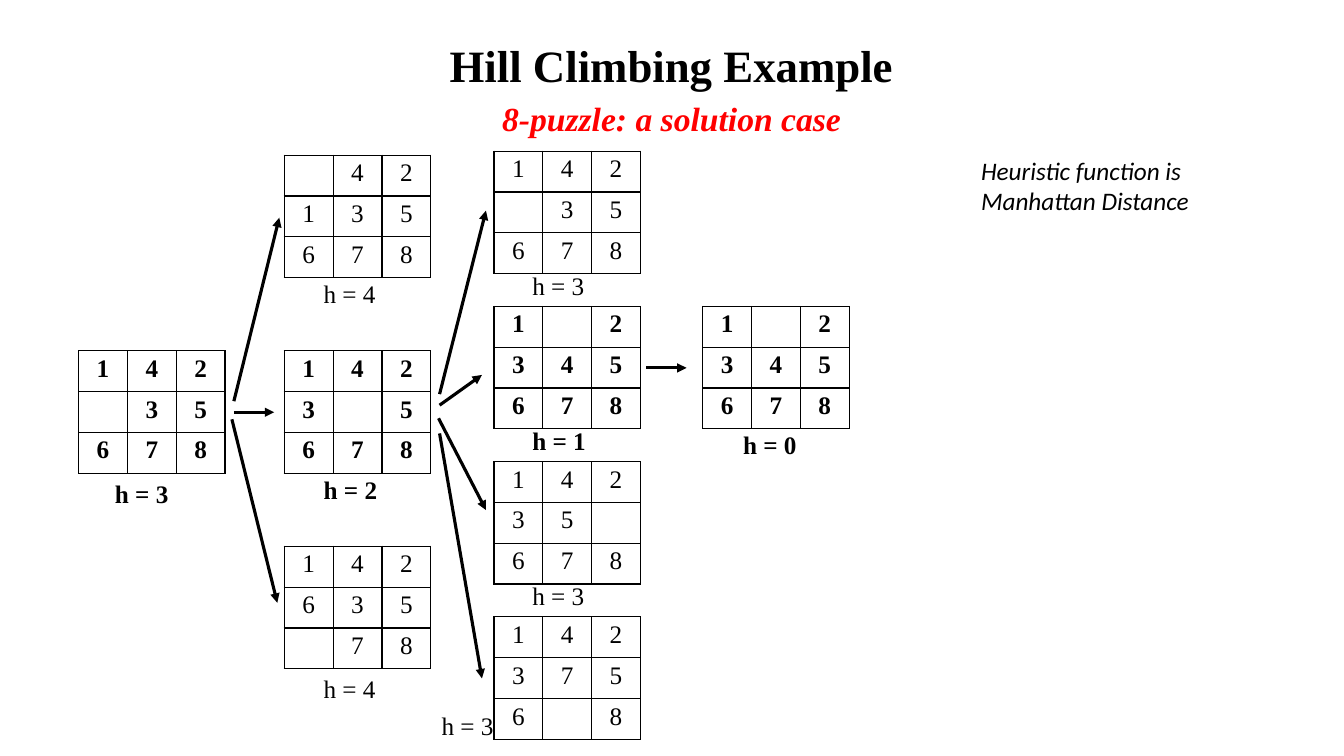
from pptx import Presentation
from pptx.dml.color import RGBColor
from pptx.enum.shapes import MSO_CONNECTOR
from pptx.enum.text import MSO_ANCHOR, PP_ALIGN
from pptx.oxml import parse_xml
from pptx.oxml.ns import nsdecls
from pptx.util import Inches, Pt

BLACK = RGBColor(0, 0, 0)
RED = RGBColor(255, 0, 0)
SERIF, SANS = "Times New Roman", "Calibri"
CENTER, LEFT = PP_ALIGN.CENTER, PP_ALIGN.LEFT
TOP = MSO_ANCHOR.TOP
STRAIGHT = MSO_CONNECTOR.STRAIGHT

HEADING = [
    ("Hill Climbing Example", {"size": Pt(32), "bold": True}, BLACK),
    ("8-puzzle: a solution case", {"size": Pt(24), "bold": True, "italic": True}, RED),
]
NOTE = "Heuristic function is Manhattan Distance"

SLIDE_W, SLIDE_H = 13.33, 7.5
TILE_W, TILE_H = 0.484, 0.405
BOARD_FRAME = 3.28
COLUMN_LEFTS = [0.78, 2.82, 4.9, 6.97]
LABEL_INDENTS = [0.36, 0.39, 0.38, 0.4]
MIDDLE_TOP, MIDDLE_STEP = 3.48, 1.94
THIRD_TOP, THIRD_STEP = 1.5, 1.54

BOARDS = [
    (1, MIDDLE_TOP + MIDDLE_STEP, ("142", "635", " 78"), 4, False, 1.25),
    (1, MIDDLE_TOP - MIDDLE_STEP, (" 42", "135", "678"), 4, False, 1.21),
    (0, MIDDLE_TOP, ("142", " 35", "678"), 3, True, 1.26),
    (1, MIDDLE_TOP, ("142", "3 5", "678"), 2, True, 1.22),
    (2, THIRD_TOP + THIRD_STEP, ("1 2", "345", "678"), 1, True, 1.17),
    (2, THIRD_TOP, ("142", " 35", "678"), 3, False, 1.17),
    (2, THIRD_TOP + 2 * THIRD_STEP, ("142", "35 ", "678"), 3, False, 1.17),
    (2, THIRD_TOP + 3 * THIRD_STEP, ("142", "375", "6 8"), 3, False, 0.92),
    (3, THIRD_TOP + THIRD_STEP, ("1 2", "345", "678"), 0, True, 1.21),
]
BESIDE_INDENT = -0.52

MOVES = [
    ((2.32, 3.98), (2.77, 2.16)),
    ((2.32, 4.09), (2.72, 4.09)),
    ((2.3, 4.16), (2.75, 5.98)),
    ((4.36, 3.91), (4.82, 2.09)),
    ((4.36, 4.02), (4.78, 3.72)),
    ((4.35, 4.15), (4.82, 5.06)),
    ((4.36, 4.3), (4.78, 6.73)),
    ((6.41, 3.65), (6.81, 3.65)),
]


def apply(target, formats):
    for key, value in formats.items():
        setattr(target, key, value)


def write(paragraph, text, align, formats, color=BLACK):
    paragraph.alignment = align
    run = paragraph.add_run()
    run.text = text
    apply(run.font, {"name": SERIF, "size": Pt(18), **formats})
    run.font.color.rgb = color


def add_frame(slide, left, top, width, height, wrap=True):
    frame = slide.shapes.add_textbox(*map(Inches, (left, top, width, height))).text_frame
    apply(frame, {"word_wrap": wrap, "margin_left": 0, "margin_right": 0,
                  "margin_top": Inches(0.01), "margin_bottom": 0, "vertical_anchor": TOP})
    return frame


def border_cell(cell):
    properties = cell._tc.get_or_add_tcPr()
    for side in ("lnL", "lnR", "lnT", "lnB"):
        properties.append(parse_xml(
            f'<a:{side} {nsdecls("a")} w="12700"><a:solidFill>'
            f'<a:srgbClr val="{BLACK}"/></a:solidFill></a:{side}>'))
    cell.fill.background()


def add_board(slide, column, top, tiles, h, on_path, label_drop):
    left = COLUMN_LEFTS[column]
    size = len(tiles)
    holder = slide.shapes.add_table(size, size, Inches(left), Inches(top),
                                    Inches(size * TILE_W), Inches(size * TILE_H))
    apply(holder, {"width": Inches(BOARD_FRAME), "height": Inches(BOARD_FRAME)})
    board = holder.table
    apply(board, {"first_row": False, "horz_banding": False})
    for r, row in enumerate(tiles):
        for c, tile in enumerate(row):
            cell = board.cell(r, c)
            apply(cell, {"margin_left": 0, "margin_right": 0, "margin_top": Inches(0.04),
                         "margin_bottom": 0, "vertical_anchor": TOP})
            border_cell(cell)
            if tile != " ":
                write(cell.text_frame.paragraphs[0], tile, CENTER, {"bold": on_path})
    below = label_drop >= size * TILE_H - 0.1
    indent = LABEL_INDENTS[column] if below else BESIDE_INDENT
    label = add_frame(slide, left + indent, top + label_drop, 0.56, 0.33, wrap=False)
    write(label.paragraphs[0], f"h = {h}", LEFT, {"bold": on_path})


def add_move(slide, start, end):
    arrow = slide.shapes.add_connector(STRAIGHT, *map(Inches, start + end))
    arrow.line.width = Pt(2.25)
    arrow.line.color.rgb = BLACK
    arrow.line._get_or_add_ln().append(
        parse_xml(f'<a:tailEnd {nsdecls("a")} type="triangle" w="med" len="med"/>'))
    arrow._element.spPr.append(parse_xml(f'<a:effectLst {nsdecls("a")}/>'))


def main():
    deck = Presentation()
    apply(deck, {"slide_width": Inches(SLIDE_W), "slide_height": Inches(SLIDE_H)})
    slide = deck.slides.add_slide(deck.slide_layouts[6])

    heading = add_frame(slide, 1.34, 0.36, 10.64, 0.97)
    for i, (text, formats, color) in enumerate(HEADING):
        paragraph = heading.add_paragraph() if i else heading.paragraphs[0]
        if i:
            paragraph.space_before = Pt(5)
        write(paragraph, text, CENTER, formats, color)

    for board in BOARDS:
        add_board(slide, *board)
    for start, end in MOVES:
        add_move(slide, start, end)

    note = add_frame(slide, 9.73, 1.53, 2.09, 0.63)
    write(note.paragraphs[0], NOTE, LEFT, {"name": SANS, "italic": True})
    deck.save("out.pptx")


if __name__ == "__main__":
    main()
